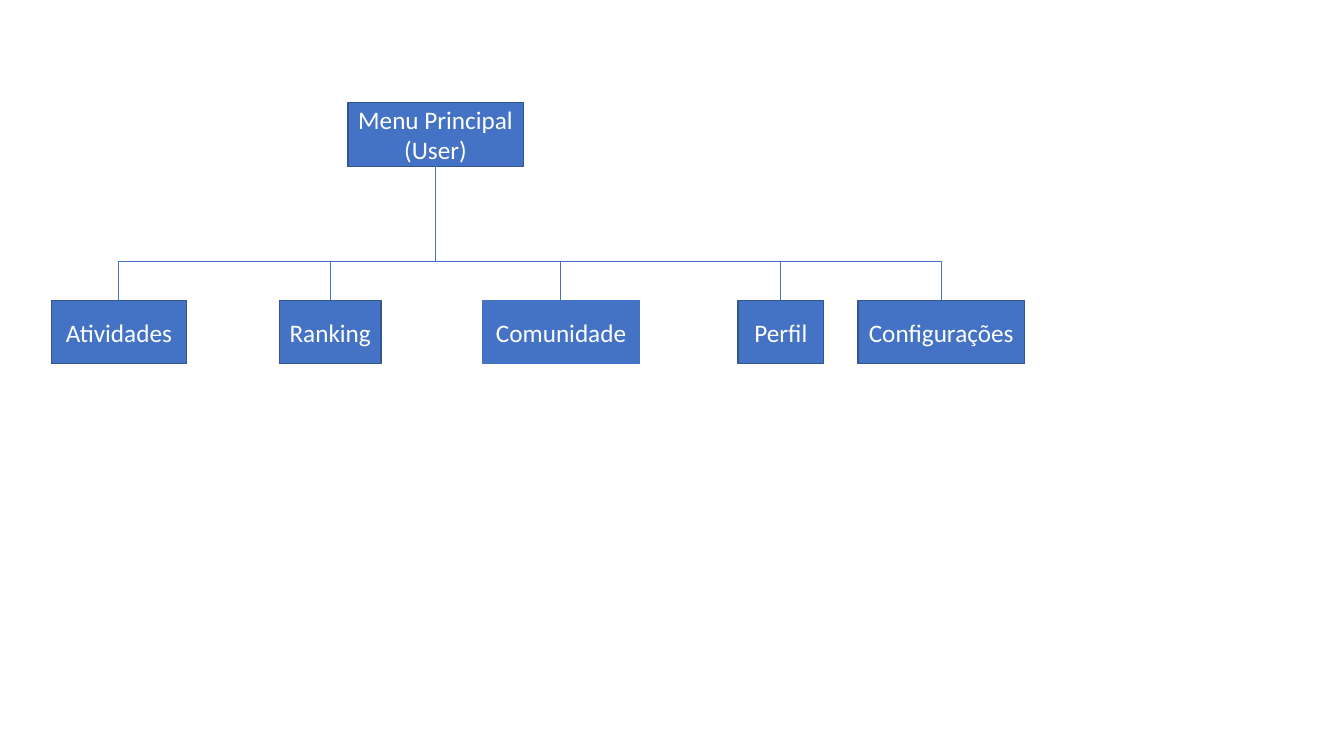
"""Build the site map of the user's main menu."""
import dataclasses

import pptx
import pptx.dml.color
import pptx.enum.shapes
import pptx.enum.text
import pptx.oxml
import pptx.util

Inches = pptx.util.Inches
Pt = pptx.util.Pt


@dataclasses.dataclass(frozen=True)
class Theme:
    fill: str = "4472C4"
    border: str = "325491"
    text: str = "FFFFFF"
    font: str = "Calibri"
    text_size: float = 18
    border_width: float = 1
    branch_width: float = 0.5


class MenuMap:
    def __init__(self, slide, theme):
        self.slide = slide
        self.theme = theme

    def color(self, value):
        return pptx.dml.color.RGBColor.from_string(value)

    def box(self, left, top, width, height, lines, border):
        entry = self.slide.shapes.add_shape(
            pptx.enum.shapes.MSO_SHAPE.RECTANGLE,
            Inches(left), Inches(top), Inches(width), Inches(height))
        entry.shadow.inherit = False
        entry.fill.solid()
        entry.fill.fore_color.rgb = self.color(self.theme.fill)
        entry.line.color.rgb = self.color(border)
        entry.line.width = Pt(self.theme.border_width)
        frame = entry.text_frame
        frame.word_wrap = False
        frame.vertical_anchor = pptx.enum.text.MSO_ANCHOR.MIDDLE
        for index, line in enumerate(lines):
            paragraph = frame.add_paragraph() if index else frame.paragraphs[0]
            paragraph.alignment = pptx.enum.text.PP_ALIGN.CENTER
            run = paragraph.add_run()
            run.text = line
            run.font.name = self.theme.font
            run.font.size = Pt(self.theme.text_size)
            run.font.color.rgb = self.color(self.theme.text)

    def branch(self, x1, y1, x2, y2):
        link = self.slide.shapes.add_connector(
            pptx.enum.shapes.MSO_CONNECTOR.STRAIGHT,
            Inches(x1), Inches(y1), Inches(x2), Inches(y2))
        link.line.color.rgb = self.color(self.theme.fill)
        link.line.width = Pt(self.theme.branch_width)
        link._element.spPr.append(pptx.oxml.parse_xml(
            '<a:effectLst xmlns:a="http://schemas.openxmlformats.org/drawingml/2006/main"/>'))


deck = pptx.Presentation()
deck.slide_width = Inches(13.33)
deck.slide_height = Inches(7.5)
theme = Theme()
menu = MenuMap(deck.slides.add_slide(deck.slide_layouts[6]), theme)

BOX_HEIGHT = 0.63
ROOT_LEFT, ROOT_TOP, ROOT_WIDTH = 3.45, 1.02, 1.74
RAIL, OPTION_TOP = 2.59, 2.98
options = [
    ("Atividades", 0.51, 1.34, 1.17, theme.border),
    ("Ranking", 2.77, 1.01, 3.28, theme.border),
    ("Comunidade", 4.79, 1.55, 5.56, theme.fill),
    ("Perfil", 7.32, 0.85, 7.74, theme.border),
    ("Configurações", 8.51, 1.65, 9.34, theme.border),
]

menu.box(ROOT_LEFT, ROOT_TOP, ROOT_WIDTH, BOX_HEIGHT,
         ["Menu Principal", "(User)"], theme.border)
root_center = ROOT_LEFT + ROOT_WIDTH / 2
menu.branch(root_center, ROOT_TOP + BOX_HEIGHT, root_center, RAIL)
for rail_start, rail_end in [(5.88, 1.17), (4.43, 7.74), (7.74, 9.34)]:
    menu.branch(rail_start, RAIL, rail_end, RAIL)
for label, left, width, drop, border in options:
    menu.branch(drop, OPTION_TOP, drop, RAIL)
    menu.box(left, OPTION_TOP, width, BOX_HEIGHT, [label], border)

deck.save("out.pptx")
